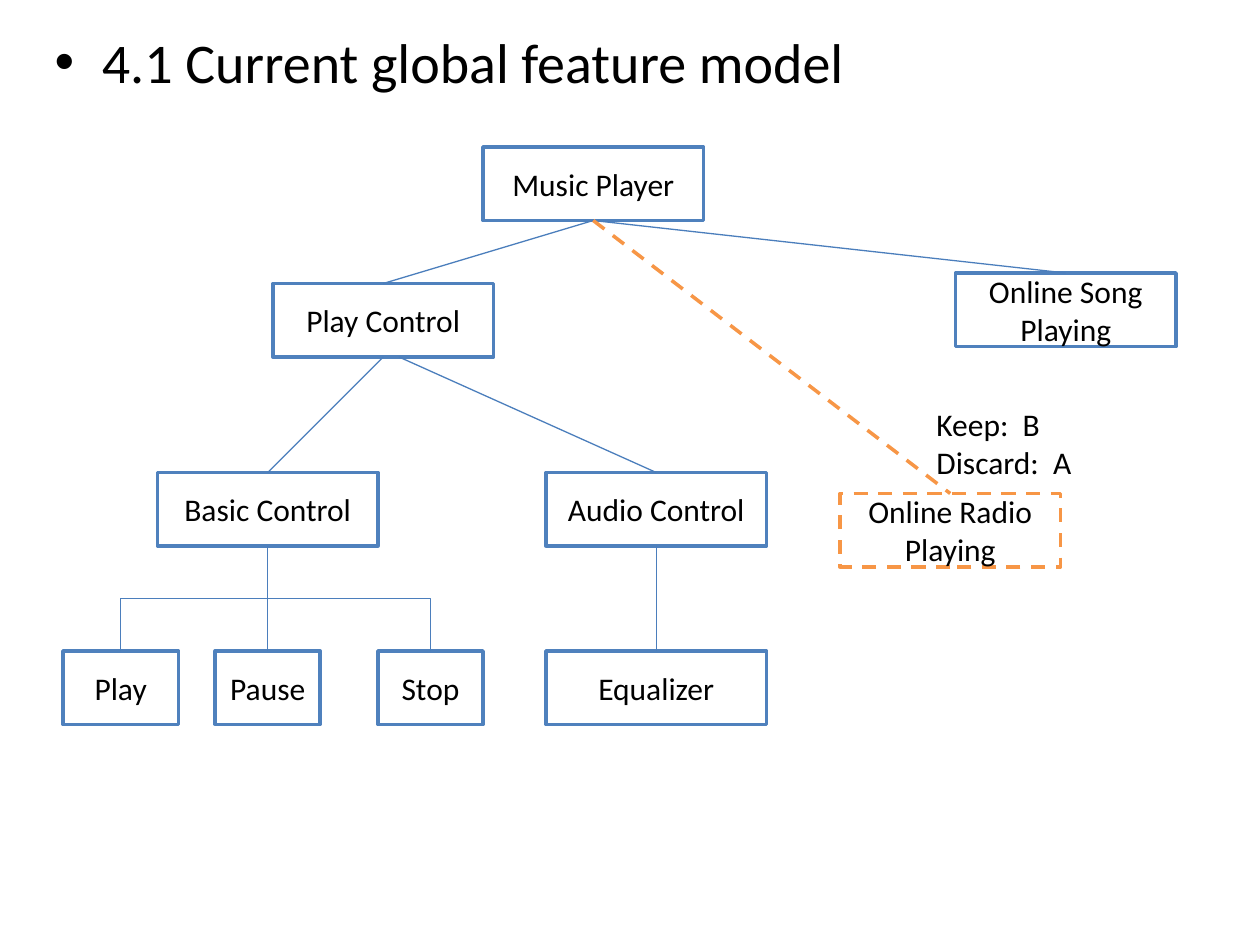
from lxml.etree import SubElement
from pptx import Presentation
from pptx.dml.color import RGBColor
from pptx.enum.dml import MSO_LINE
from pptx.enum.shapes import MSO_CONNECTOR, MSO_SHAPE
from pptx.enum.text import MSO_ANCHOR, MSO_AUTO_SIZE, PP_ALIGN
from pptx.oxml.ns import qn
from pptx.util import Inches, Pt

TITLE_ONLY = 5
COLUMNS, ROWS = 120, 90
TOP, BOTTOM = 0, 2


def color(hex_string):
    return RGBColor.from_string(hex_string)


def write(frame, text, size=18, align=PP_ALIGN.LEFT, anchor=MSO_ANCHOR.TOP,
          font="Calibri", ink="000000"):
    frame.word_wrap = True
    frame.vertical_anchor = anchor
    frame.text = text
    for paragraph in frame.paragraphs:
        paragraph.alignment = align
        for run in paragraph.runs:
            run.font.name = font
            run.font.size = Pt(size)
            run.font.color.rgb = color(ink)


def add_bullet(paragraph, indent):
    properties = paragraph._p.get_or_add_pPr()
    properties.set("marL", str(indent))
    properties.set("indent", str(-indent))
    SubElement(properties, qn("a:buFont")).set("typeface", "Arial")
    SubElement(properties, qn("a:buChar")).set("char", "•")


def turn_elbow(connector):
    """Make an elbow leave and arrive vertically, with its bend halfway down."""
    run = connector.end_x - connector.begin_x
    drop = connector.end_y - connector.begin_y
    center_x = (connector.begin_x + connector.end_x) // 2
    center_y = (connector.begin_y + connector.end_y) // 2
    connector.width, connector.height = drop, abs(run)
    connector.left = center_x - drop // 2
    connector.top = center_y - abs(run) // 2
    transform = connector._element.spPr.find(qn("a:xfrm"))
    transform.set("rot", str((270 if run > 0 else 90) * 60000))
    transform.set("flipH", "1" if run > 0 else "0")
    transform.set("flipV", "0")


class FeatureDiagram:
    """Draws on one slide, with lengths in columns and rows of its grid."""
    box_line, link_line, new_line = "4F81BD", "4B7EBC", "F79646"
    box_height = 7

    def __init__(self, presentation):
        self.column = presentation.slide_width / COLUMNS
        self.row = presentation.slide_height / ROWS
        self.slide = presentation.slides.add_slide(
            presentation.slide_layouts[TITLE_ONLY])

    def area(self, left, top, width, height):
        return (round(left * self.column), round(top * self.row),
                round(width * self.column), round(height * self.row))

    def title(self, text, *area):
        shape = self.slide.shapes.title
        shape.left, shape.top, shape.width, shape.height = self.area(*area)
        write(shape.text_frame, text, size=32)
        shape.text_frame.auto_size = MSO_AUTO_SIZE.NONE
        add_bullet(shape.text_frame.paragraphs[0], Inches(0.375))

    def note(self, text, *area):
        shape = self.slide.shapes.add_textbox(*self.area(*area))
        write(shape.text_frame, text)

    def outline(self, line, hex_string, width, dashed):
        line.color.rgb = color(hex_string)
        line.width = Pt(width)
        if dashed:
            line.dash_style = MSO_LINE.DASH

    def box(self, text, left, top, width=21, dashed=False):
        shape = self.slide.shapes.add_shape(
            MSO_SHAPE.RECTANGLE, *self.area(left, top, width, self.box_height))
        shape.shadow.inherit = False
        shape.fill.solid()
        shape.fill.fore_color.rgb = color("FFFFFF")
        self.outline(shape.line, self.new_line if dashed else self.box_line, 2, dashed)
        write(shape.text_frame, text, align=PP_ALIGN.CENTER, anchor=MSO_ANCHOR.MIDDLE)
        return shape

    def link(self, parent, child, elbow=False, dashed=False, shift=0):
        """Join parent to child; shift moves the start off the parent's middle."""
        kind = MSO_CONNECTOR.ELBOW if elbow else MSO_CONNECTOR.STRAIGHT
        start_x = parent.left + parent.width // 2 + round(shift * self.column)
        connector = self.slide.shapes.add_connector(
            kind, start_x, parent.top + parent.height,
            child.left + child.width // 2, child.top)
        if not shift:
            connector.begin_connect(parent, BOTTOM)
        connector.end_connect(child, TOP)
        if elbow:
            turn_elbow(connector)
        self.outline(connector.line, self.new_line if dashed else self.link_line,
                     2 if dashed else 0.75, dashed)
        SubElement(connector._element.spPr, qn("a:effectLst"))


def main():
    presentation = Presentation()
    presentation.slide_width, presentation.slide_height = Inches(10), Inches(7.5)
    diagram = FeatureDiagram(presentation)
    diagram.title("4.1 Current global feature model", 4, 2, 108, 10)

    music_player = diagram.box("Music Player", 46, 14)
    play_control = diagram.box("Play Control", 26, 27)
    online_song = diagram.box("Online Song Playing", 91, 26)
    online_radio = diagram.box("Online Radio Playing", 80, 47, dashed=True)
    basic_control = diagram.box("Basic Control", 15, 45)
    audio_control = diagram.box("Audio Control", 52, 45)
    equalizer = diagram.box("Equalizer", 52, 62)
    buttons = [diagram.box(text, left, 62, width) for text, left, width in
               [("Play", 6, 11), ("Pause", 20.5, 10), ("Stop", 36, 10)]]

    diagram.link(music_player, play_control)
    diagram.link(music_player, online_song)
    diagram.link(music_player, online_radio, dashed=True)
    diagram.link(play_control, basic_control)
    diagram.link(play_control, audio_control, shift=1.5)
    diagram.link(audio_control, equalizer)
    for button in buttons:
        diagram.link(basic_control, button, elbow=True)

    diagram.note("Keep:  B\nDiscard:  A", 88, 38, 32, 8.5)
    presentation.save("out.pptx")


if __name__ == "__main__":
    main()
